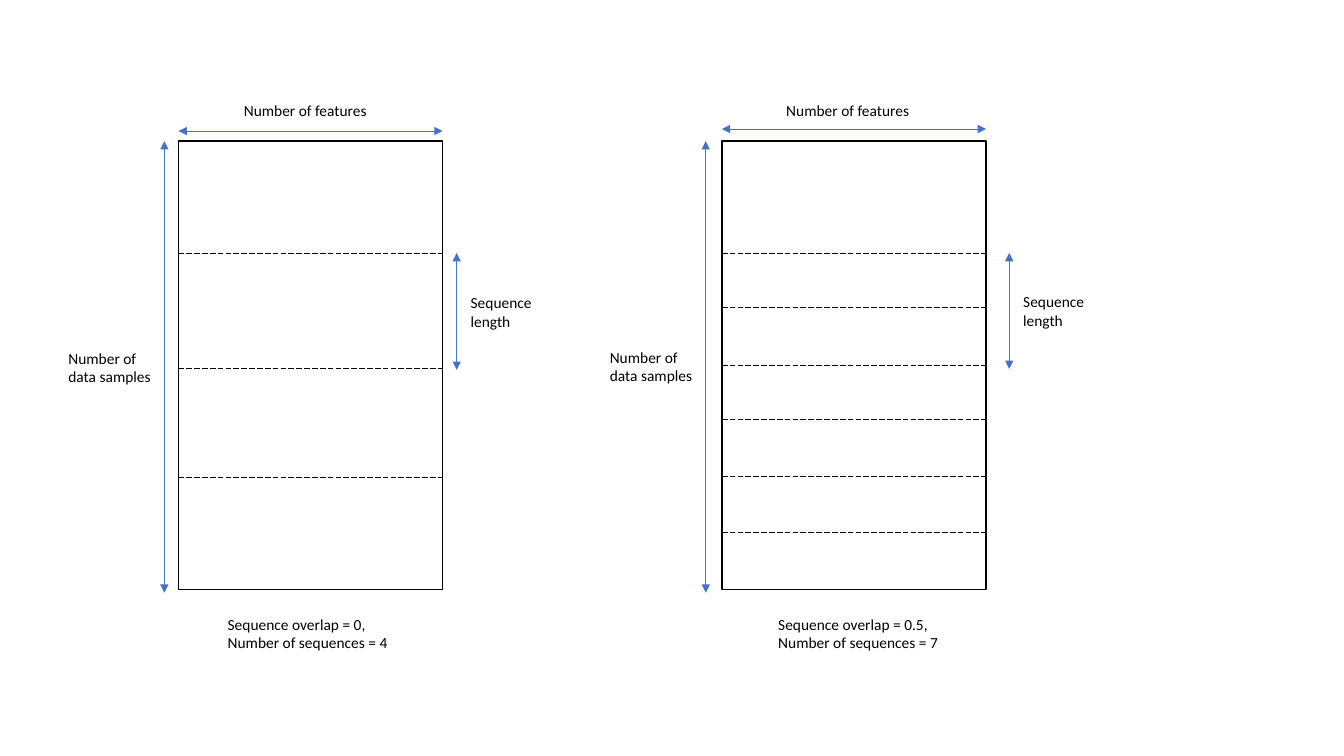
from dataclasses import dataclass
from lxml.etree import SubElement
from pptx import Presentation
from pptx.dml.color import RGBColor
from pptx.enum.dml import MSO_LINE
from pptx.enum.shapes import MSO_CONNECTOR, MSO_SHAPE
from pptx.enum.text import MSO_AUTO_SIZE, PP_ALIGN
from pptx.oxml.ns import qn
from pptx.util import Inches, Pt

PANELS = [
    {
        "left": 1.77,
        "cuts": [2.51, 3.65, 4.74],
        "features_y": 1.3,
        "samples_x": 1.63,
        "sequence": (4.53, 2.51, 3.67),
        "labels": [
            (2.32, 0.95, 1.53, 0.29, ["Number of features"]),
            (0.58, 3.41, 1.13, 0.47, ["Number of data samples"]),
            (4.57, 2.86, 0.84, 0.47, ["Sequence length"]),
            (2.16, 6.05, 1.86, 0.47,
             ["Sequence overlap = 0,", "Number of sequences = 4"]),
        ],
    },
    {
        "left": 7.16,
        "cuts": [2.51, 3.05, 3.62, 4.16, 4.73, 5.28],
        "features_y": 1.28,
        "samples_x": 7,
        "sequence": (10.01, 2.51, 3.66),
        "labels": [
            (7.7, 0.95, 1.53, 0.29, ["Number of features"]),
            (5.95, 3.4, 1.13, 0.47, ["Number of data samples"]),
            (10.05, 2.85, 0.84, 0.47, ["Sequence length"]),
            (7.62, 6.05, 1.86, 0.47,
             ["Sequence overlap = 0.5,", "Number of sequences = 7"]),
        ],
    },
]
TOP, WIDTH, HEIGHT = 1.4, 2.62, 4.45
SAMPLES_END = 5.88


@dataclass(frozen=True)
class Theme:
    ink: RGBColor = RGBColor(0x00, 0x00, 0x00)
    paper: RGBColor = RGBColor(0xFF, 0xFF, 0xFF)
    accent: RGBColor = RGBColor(0x44, 0x72, 0xC4)
    font: str = "Calibri"
    size: Pt = Pt(11)
    border: Pt = Pt(1)
    thin: Pt = Pt(0.5)


THEME = Theme()


def add_line(s, x1, y1, x2, y2, color):
    c = s.shapes.add_connector(
        MSO_CONNECTOR.STRAIGHT, Inches(x1), Inches(y1), Inches(x2), Inches(y2))
    c.line.color.rgb = color
    c.line.width = THEME.thin
    SubElement(c._element.spPr, qn("a:effectLst"))
    return c


def add_cut(s, x1, x2, y):
    c = add_line(s, x1, y, x2, y, THEME.ink)
    c.line.dash_style = MSO_LINE.LONG_DASH


def add_arrow(s, x1, y1, x2, y2):
    c = add_line(s, x1, y1, x2, y2, THEME.accent)
    ln = c.line._get_or_add_ln()
    for end in ("a:headEnd", "a:tailEnd"):
        SubElement(ln, qn(end), type="triangle")


def add_label(s, x, y, w, h, lines):
    sp = s.shapes.add_textbox(Inches(x), Inches(y), Inches(w), Inches(h))
    tf = sp.text_frame
    tf.word_wrap = True
    tf.auto_size = MSO_AUTO_SIZE.SHAPE_TO_FIT_TEXT
    for i, text in enumerate(lines):
        p = tf.add_paragraph() if i else tf.paragraphs[0]
        p.alignment = PP_ALIGN.LEFT
        r = p.add_run()
        r.text = text
        r.font.name = THEME.font
        r.font.size = THEME.size
        r.font.color.rgb = THEME.ink


def add_panel(s, panel):
    left = panel["left"]
    right = left + WIDTH
    sp = s.shapes.add_shape(
        MSO_SHAPE.RECTANGLE, Inches(left), Inches(TOP), Inches(WIDTH), Inches(HEIGHT))
    sp.shadow.inherit = False
    sp.fill.solid()
    sp.fill.fore_color.rgb = THEME.paper
    sp.line.color.rgb = THEME.ink
    sp.line.width = THEME.border
    for y in panel["cuts"]:
        add_cut(s, left, right, y)
    add_arrow(s, left, panel["features_y"], right, panel["features_y"])
    add_arrow(s, panel["samples_x"], TOP, panel["samples_x"], SAMPLES_END)
    x, start, end = panel["sequence"]
    add_arrow(s, x, start, x, end)
    for label in panel["labels"]:
        add_label(s, *label)


def main():
    prs = Presentation()
    prs.slide_width = Inches(13.33)
    prs.slide_height = Inches(7.5)
    s = prs.slides.add_slide(prs.slide_layouts[6])
    for panel in PANELS:
        add_panel(s, panel)
    prs.save("out.pptx")


if __name__ == "__main__":
    main()
